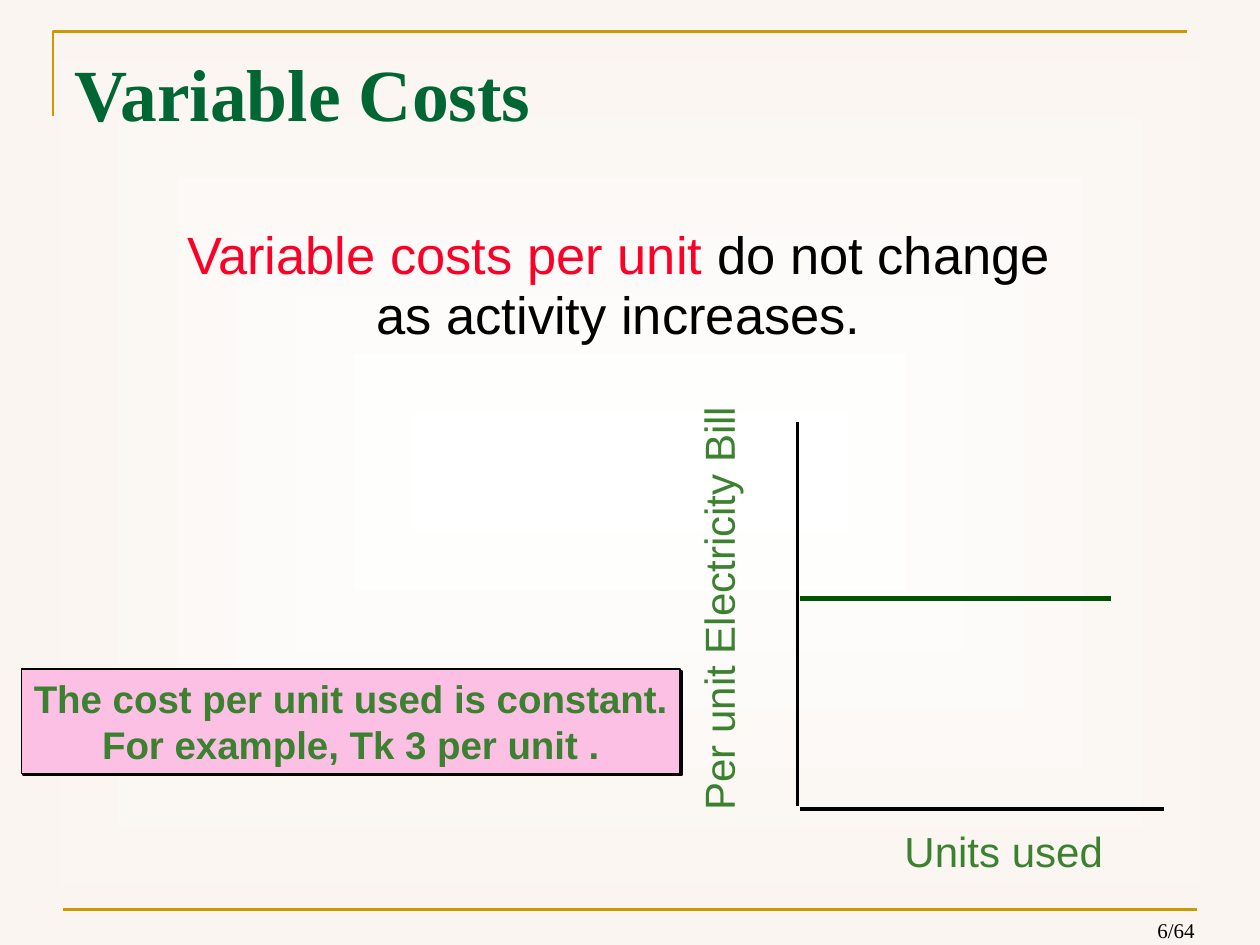
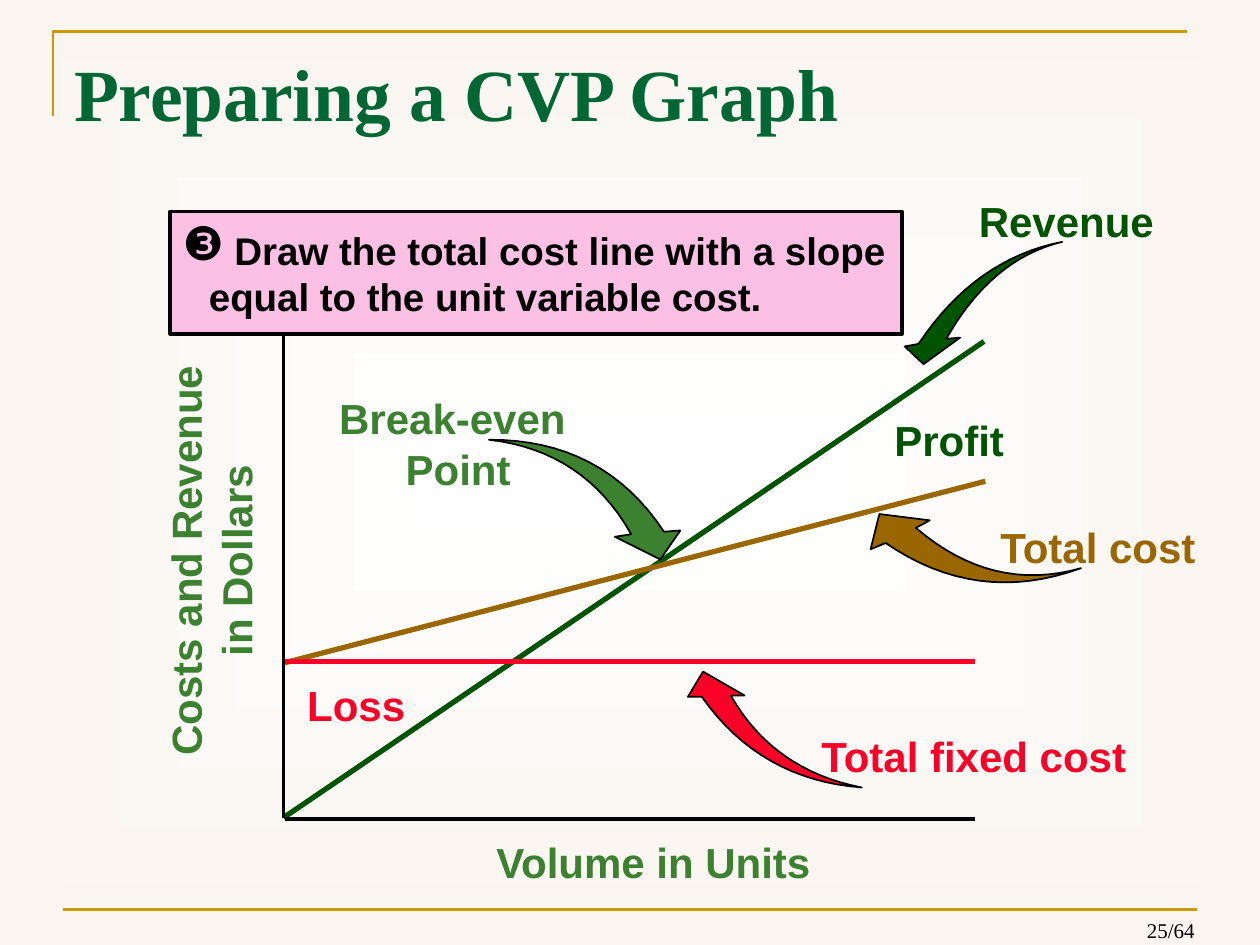
"""Build two cost-behaviour slides: variable costs per unit and a CVP graph."""
from dataclasses import dataclass

from lxml.etree import SubElement
from pptx import Presentation
from pptx.dml.color import RGBColor
from pptx.enum.shapes import MSO_CONNECTOR, MSO_SHAPE
from pptx.enum.text import MSO_ANCHOR, PP_ALIGN
from pptx.oxml.ns import qn
from pptx.presentation import Presentation as Deck
from pptx.shapes.autoshape import Shape
from pptx.slide import Slide
from pptx.util import Inches, Pt

COLORS = {
    "center": "FFFFFF", "edge": "FAF5F0", "gold": "CC9900", "title": "006633",
    "black": "000000", "leaf": "3B812F", "forest": "005400", "brown": "996600",
    "red": "FC0128", "pink": "FDC0E5",
}
Point = tuple[float, float]
CURVE_STEPS = 16


@dataclass(frozen=True)
class Line:
    start: Point
    end: Point
    color: str
    width: float


@dataclass(frozen=True)
class Label:
    text: str
    left: float
    top: float
    width: float
    color: str
    height: float = 0.5
    bold: bool = True
    align: PP_ALIGN = PP_ALIGN.LEFT
    rotation: int = 0


@dataclass(frozen=True)
class CurvedArrow:
    color: str
    outer_neck: Point
    outer_middle: Point
    tail: Point
    inner_middle: Point
    inner_neck: Point
    head: tuple[Point, Point, Point]


def rgb(name: str) -> RGBColor:
    return RGBColor.from_string(COLORS[name])


def write_text(shape: Shape, *spans: tuple[str, str], size: float = 24, font: str = "Arial",
               bold: bool = False, align: PP_ALIGN = PP_ALIGN.LEFT,
               anchor: MSO_ANCHOR = MSO_ANCHOR.TOP, spacing: float = 1.0,
               wrap: bool = True) -> None:
    frame = shape.text_frame
    frame.word_wrap = wrap
    frame.vertical_anchor = anchor
    para = frame.paragraphs[0]
    para.alignment = align
    para.line_spacing = spacing
    for text, color in spans:
        for index, line in enumerate(text.split("\n")):
            if index:
                para.add_line_break()
            span = para.add_run()
            span.text = line
            span.font.name = font
            span.font.size = Pt(size)
            span.font.bold = bold
            span.font.color.rgb = rgb(color)


def add_box(page: Slide, left: float, top: float, width: float, height: float) -> Shape:
    return page.shapes.add_textbox(Inches(left), Inches(top), Inches(width), Inches(height))


def add_label(page: Slide, label: Label) -> None:
    box = add_box(page, label.left, label.top, label.width, label.height)
    box.rotation = label.rotation
    write_text(box, (label.text, label.color), bold=label.bold, align=label.align)


def add_line(page: Slide, line: Line) -> None:
    ends = [Inches(value) for value in (*line.start, *line.end)]
    connector = page.shapes.add_connector(MSO_CONNECTOR.STRAIGHT, *ends)
    connector.line.color.rgb = rgb(line.color)
    connector.line.width = Pt(line.width)
    SubElement(connector.element.spPr, qn("a:effectLst"))


def add_outline(page: Slide, points: list[Point], line_color: str, width: float,
                fill: str | None = None) -> None:
    corners = [(Inches(x), Inches(y)) for x, y in points]
    builder = page.shapes.build_freeform(*corners[0])
    builder.add_line_segments(corners[1:], close=fill is not None)
    shape = builder.convert_to_shape()
    style_shape(shape, fill, line_color, width)


def style_shape(shape: Shape, fill: str | None, line_color: str, width: float) -> None:
    shape.shadow.inherit = False
    if fill:
        shape.fill.solid()
        shape.fill.fore_color.rgb = rgb(fill)
    else:
        shape.fill.background()
    shape.line.color.rgb = rgb(line_color)
    shape.line.width = Pt(width)


def curve(start: Point, middle: Point, end: Point) -> list[Point]:
    points = []
    for step in range(CURVE_STEPS + 1):
        t = step / CURVE_STEPS
        weights = ((1 - t) * (1 - 2 * t), 4 * t * (1 - t), t * (2 * t - 1))
        x, y = (sum(w * p[axis] for w, p in zip(weights, (start, middle, end)))
                for axis in (0, 1))
        points.append((x, y))
    return points


def add_curved_arrow(page: Slide, arrow: CurvedArrow) -> None:
    outer = curve(arrow.outer_neck, arrow.outer_middle, arrow.tail)
    inner = curve(arrow.tail, arrow.inner_middle, arrow.inner_neck)
    add_outline(page, [*outer, *inner[1:], *arrow.head], "black", 1, arrow.color)


def add_callout(page: Slide, left: float, top: float, width: float, height: float,
                border: float) -> Shape:
    shape = page.shapes.add_shape(MSO_SHAPE.RECTANGLE, Inches(left), Inches(top),
                                  Inches(width), Inches(height))
    style_shape(shape, "pink", "black", border)
    return shape


def add_hard_shadow(shape: Shape) -> None:
    effects = shape.element.spPr.find(qn("a:effectLst"))
    shadow = SubElement(effects, qn("a:outerShdw"), dist=str(Pt(1.4)), dir="2700000",
                        algn="ctr", rotWithShape="0")
    SubElement(shadow, qn("a:srgbClr"), val=COLORS["black"])


def add_bullet(shape: Shape, symbol: str, indent: float) -> None:
    properties = shape.text_frame.paragraphs[0]._p.get_or_add_pPr()
    properties.set("marL", str(Inches(indent)))
    properties.set("indent", str(-Inches(indent)))
    color = SubElement(properties, qn("a:buClr"))
    SubElement(color, qn("a:srgbClr"), val=COLORS["black"])
    SubElement(properties, qn("a:buSzPct"), val="120000")
    SubElement(properties, qn("a:buChar"), char=symbol)


def set_background(deck: Deck) -> None:
    fill = deck.slide_master.background.fill
    fill.gradient()
    for stop, name, position in zip(fill.gradient_stops, ("center", "edge"), (0, 1)):
        stop.color.rgb = rgb(name)
        stop.position = position
    gradient = deck.slide_master.element.find(".//" + qn("a:gradFill"))
    gradient.remove(gradient.find(qn("a:lin")))
    path = SubElement(gradient, qn("a:path"), path="rect")
    SubElement(path, qn("a:fillToRect"), l="50000", t="50000", r="50000", b="50000")


def add_page(deck: Deck, title: str, number: str) -> Slide:
    page = deck.slides.add_slide(deck.slide_layouts[6])
    add_outline(page, [(0.42, 0.92), (0.42, 0.25), (9.42, 0.25)], "gold", 1.5)
    add_line(page, Line((0.5, 7.22), (9.5, 7.22), "gold", 1.5))
    write_text(add_box(page, 8.15, 7.29, 1.43, 0.24), (number, "black"), size=12,
               font="Times New Roman", align=PP_ALIGN.RIGHT, anchor=MSO_ANCHOR.BOTTOM)
    write_text(add_box(page, 0.49, 0.25, 9, 0.88), (title, "title"), size=42,
               font="Times New Roman", bold=True, anchor=MSO_ANCHOR.BOTTOM, spacing=0.85)
    return page


def build_variable_costs(deck: Deck) -> None:
    page = add_page(deck, "Variable Costs", "6/64")
    write_text(add_box(page, 0.12, 1.75, 9.58, 1.08),
               ("Variable costs per unit ", "red"),
               ("do not change\nas activity increases.", "black"),
               size=30, align=PP_ALIGN.CENTER, spacing=0.95)
    for line in (
        Line((6.35, 4.75), (8.82, 4.75), "forest", 3),
        Line((6.33, 3.35), (6.33, 6.4), "black", 2),
        Line((6.35, 6.42), (9.24, 6.42), "black", 2),
    ):
        add_line(page, line)
    add_label(page, Label("Units used", 7.08, 6.5, 2, "leaf", bold=False))
    add_label(page, Label("Per unit Electricity Bill", 3.91, 4.58, 3.58, "leaf", bold=False,
                          align=PP_ALIGN.CENTER, rotation=270))
    callout = add_callout(page, 0.17, 5.31, 5.23, 0.83, 1)
    add_hard_shadow(callout)
    write_text(callout,
               ("The cost per unit used is constant.\nFor example, Tk 3 per unit .", "leaf"),
               size=22, bold=True, align=PP_ALIGN.CENTER, wrap=False)


def build_cvp_graph(deck: Deck) -> None:
    page = add_page(deck, "Preparing a CVP Graph", "25/64")
    for line in (
        Line((2.25, 6.49), (7.81, 2.71), "forest", 3),
        Line((2.26, 5.26), (7.82, 3.82), "brown", 3),
        Line((2.25, 2.51), (2.25, 6.49), "black", 2),
        Line((2.26, 6.5), (7.74, 6.5), "black", 2),
        Line((2.26, 5.25), (7.74, 5.25), "red", 3),
    ):
        add_line(page, line)
    for label in (
        Label("Total cost", 7.84, 4.09, 2.08, "brown"),
        Label("Volume in Units", 3.84, 6.59, 2.91, "leaf"),
        Label("Costs and Revenue\nin Dollars", -0.08, 4, 3.5, "leaf", height=0.9,
              align=PP_ALIGN.CENTER, rotation=270),
        Label("Total fixed cost", 6.42, 5.75, 3, "red"),
        Label("Break-even\n Point", 2.59, 3.07, 2, "leaf", height=0.9,
              align=PP_ALIGN.CENTER),
        Label("Profit", 7, 3.24, 1.16, "forest"),
        Label("Loss", 2.34, 5.34, 1.16, "red"),
        Label("Revenue", 7.67, 1.5, 1.66, "forest"),
    ):
        add_label(page, label)
    for arrow in (
        CurvedArrow("forest", (7.29, 2.73), (7.8, 2.19), (8.43, 1.92), (7.92, 2.18),
                    (7.51, 2.69), ((7.62, 2.68), (7.33, 2.89), (7.18, 2.75))),
        CurvedArrow("brown", (7.03, 4.31), (7.78, 4.61), (8.58, 4.51), (7.9, 4.53),
                    (7.27, 4.19), ((7.38, 4.13), (6.98, 4.08), (6.91, 4.36))),
        CurvedArrow("red", (5.57, 5.53), (6.12, 6.04), (6.84, 6.25), (6.23, 6),
                    (5.8, 5.52), ((5.91, 5.52), (5.58, 5.33), (5.46, 5.53))),
        CurvedArrow("leaf", (5.27, 4.22), (4.68, 3.67), (3.88, 3.49), (4.54, 3.72),
                    (5.01, 4.24), ((4.88, 4.26), (5.24, 4.44), (5.4, 4.21))),
    ):
        add_curved_arrow(page, arrow)
    callout = add_callout(page, 1.35, 1.68, 5.81, 0.97, 2)
    add_bullet(callout, "❸", 0.21)
    write_text(callout,
               (" Draw the total cost line with a slope\nequal to the unit variable cost.",
                "black"),
               size=22, bold=True, anchor=MSO_ANCHOR.MIDDLE, wrap=False)


def main() -> None:
    deck = Presentation()
    deck.slide_width = Inches(10)
    deck.slide_height = Inches(7.5)
    set_background(deck)
    build_variable_costs(deck)
    build_cvp_graph(deck)
    deck.save("out.pptx")


if __name__ == "__main__":
    main()
